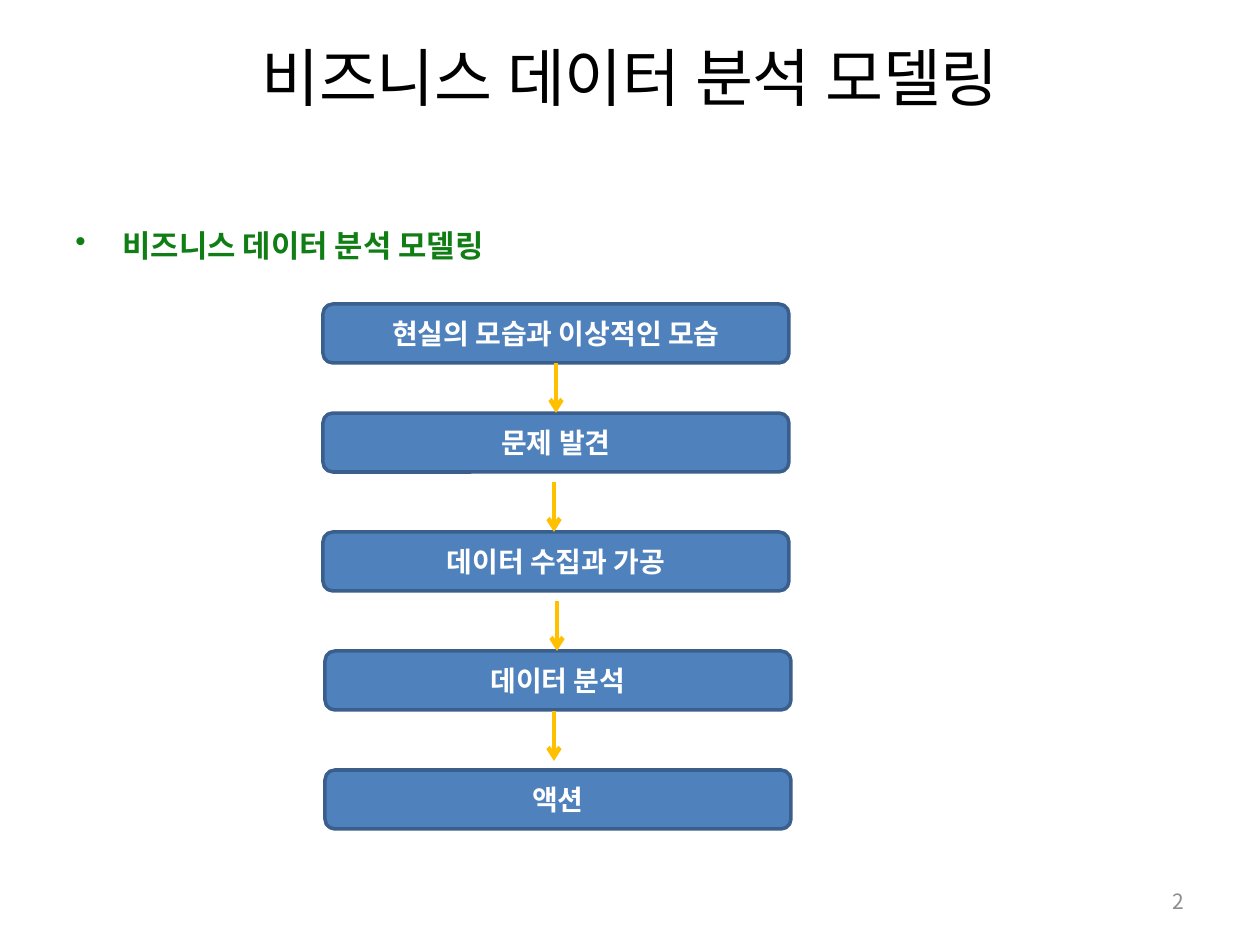
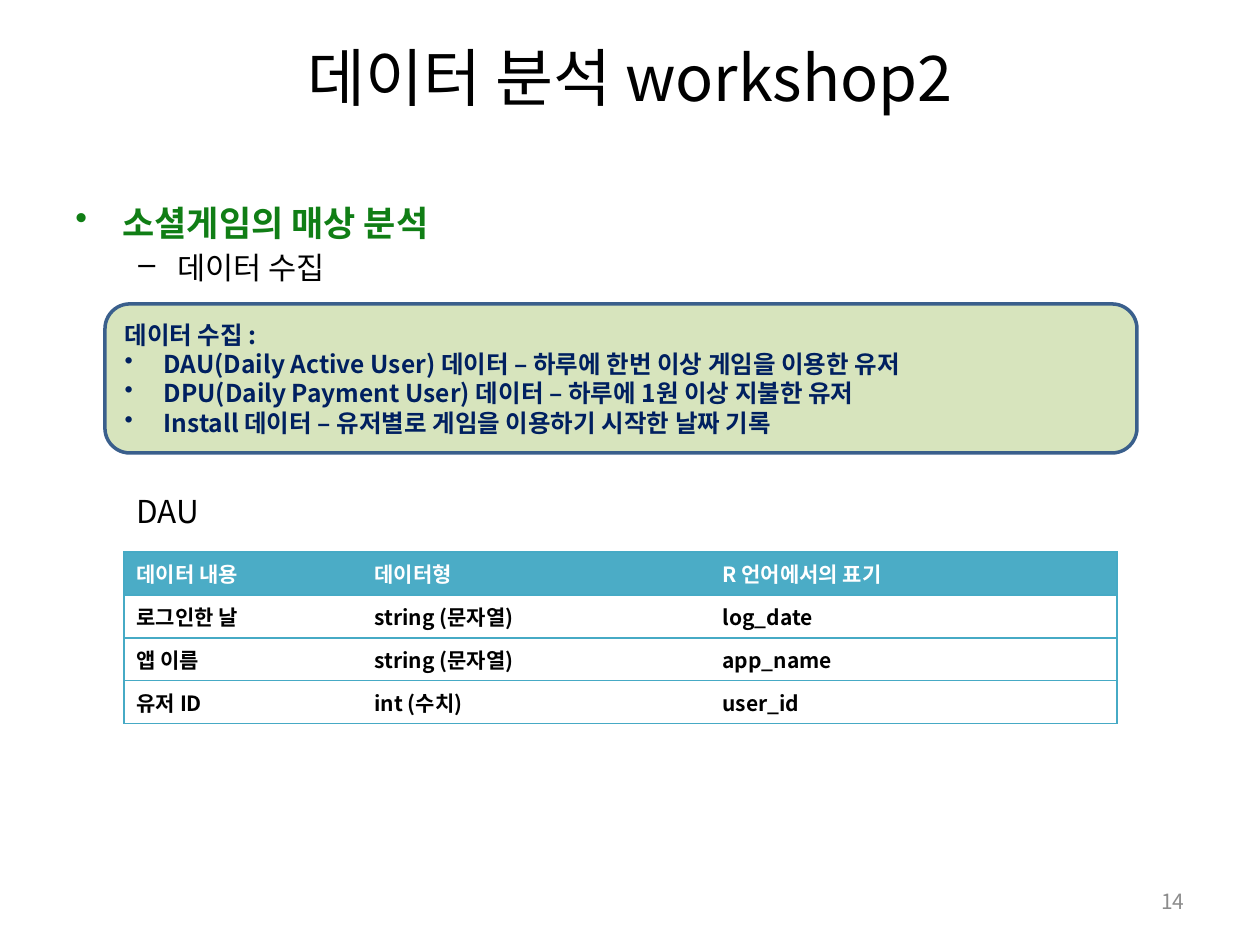
from lxml import etree
from pptx import Presentation
from pptx.dml.color import RGBColor
from pptx.enum.shapes import MSO_CONNECTOR, MSO_SHAPE
from pptx.enum.text import MSO_ANCHOR, PP_ALIGN
from pptx.oxml.ns import qn
from pptx.util import Pt

LEFT, CENTER, RIGHT = PP_ALIGN.LEFT, PP_ALIGN.CENTER, PP_ALIGN.RIGHT
TOP, MIDDLE = MSO_ANCHOR.TOP, MSO_ANCHOR.MIDDLE
ROUNDED, STRAIGHT = MSO_SHAPE.ROUNDED_RECTANGLE, MSO_CONNECTOR.STRAIGHT

FONT = "Noto Sans CJK KR"
BLACK, WHITE, GRAY = "000000", "FFFFFF", "8C8C8C"
GREEN, NAVY, GOLD = "107E15", "002060", "FFC000"
BLUE, OUTLINE, PALE = "4F81BD", "3A5F8C", "D7E4BD"
TEAL, RULE = "4BACC6", "46AAC5"

FLOW_TITLE = "비즈니스 데이터 분석 모델링"
FLOW_HEADING = "비즈니스 데이터 분석 모델링"
STEPS = [
    (323, 304, "현실의 모습과 이상적인 모습"),
    (323, 413, "문제 발견"),
    (323, 532, "데이터 수집과 가공"),
    (325, 651, "데이터 분석"),
    (325, 770, "액션"),
]
STEP_W, STEP_H = 466, 59
ARROWS = [(556, 363), (554, 482), (557, 601), (554, 711)]
ARROW_LENGTH = 50

DATA_TITLE = "데이터 분석 workshop2"
DATA_HEADING = "소셜게임의 매상 분석"
DATA_SUBHEADING = "데이터 수집"
SOURCES_LABEL = "데이터 수집 :"
SOURCES = [
    "DAU(Daily Active User) 데이터 – 하루에 한번 이상 게임을 이용한 유저",
    "DPU(Daily Payment User) 데이터 – 하루에 1원 이상 지불한 유저",
    "Install 데이터 – 유저별로 게임을 이용하기 시작한 날짜 기록",
]
TABLE_NAME = "DAU"
ROWS = [
    ("데이터 내용", "데이터형", "R 언어에서의 표기"),
    ("로그인한 날", "string (문자열)", "log_date"),
    ("앱 이름", "string (문자열)", "app_name"),
    ("유저 ID", "int (수치)", "user_id"),
]
COL_WIDTHS = [238, 348, 407]
ROW_H = 43


def px(n):
    return round(n * 914400 / 126)


def rgb(color):
    return RGBColor.from_string(color)


def write(p, text, size, color, bold=False, align=LEFT):
    p.text = text
    p.alignment = align
    p.font.size = Pt(size)
    p.font.bold = bold
    p.font.name = FONT
    p.font.color.rgb = rgb(color)
    props = p._p.pPr.find(qn("a:defRPr"))
    props.find(qn("a:latin")).addnext(
        etree.Element(qn("a:ea"), typeface=FONT))
    return p


def add_bullet(p, char, margin, hang):
    props = p._p.pPr
    props.set("marL", str(px(margin)))
    props.set("indent", str(px(-hang)))
    props.find(qn("a:defRPr")).addprevious(
        etree.Element(qn("a:buChar"), char=char))


def add_text(s, box, anchor=TOP, wrap=True):
    tf = s.shapes.add_textbox(*map(px, box)).text_frame
    tf.word_wrap = wrap
    tf.vertical_anchor = anchor
    return tf


def add_heading(s, box, text, size):
    tf = add_text(s, box)
    p = write(tf.paragraphs[0], text, size, GREEN, True)
    p.space_before = Pt(size * 0.2)
    add_bullet(p, "•", 47, 47)
    return tf


def add_panel(s, box, fill):
    sp = s.shapes.add_shape(ROUNDED, *map(px, box))
    sp.shadow.inherit = False
    sp.fill.solid()
    sp.fill.fore_color.rgb = rgb(fill)
    sp.line.color.rgb = rgb(OUTLINE)
    sp.line.width = Pt(2)
    sp.text_frame.word_wrap = True
    sp.text_frame.vertical_anchor = MIDDLE
    return sp.text_frame


def add_arrow(s, x, y):
    c = s.shapes.add_connector(
        STRAIGHT, px(x), px(y), px(x), px(y + ARROW_LENGTH))
    c.line.color.rgb = rgb(GOLD)
    c.line.width = Pt(2.5)
    etree.SubElement(c.line._get_or_add_ln(), qn("a:tailEnd"), type="arrow")
    etree.SubElement(c._element.spPr, qn("a:effectLst"))


def set_borders(cell, sides):
    props = cell._tc.get_or_add_tcPr()
    for side in "LRTB":
        ln = etree.SubElement(props, qn("a:ln" + side), w=str(Pt(0.75)))
        if side in sides:
            fill = etree.SubElement(ln, qn("a:solidFill"))
            etree.SubElement(fill, qn("a:srgbClr"), val=RULE)
        else:
            etree.SubElement(ln, qn("a:noFill"))


def add_grid(s, x, y):
    frame = s.shapes.add_table(
        len(ROWS), len(COL_WIDTHS), px(x), px(y),
        px(sum(COL_WIDTHS)), px(ROW_H * len(ROWS)))
    table = frame.table
    table.first_row = table.horz_banding = False
    for col, width in zip(table.columns, COL_WIDTHS):
        col.width = px(width)
    last = len(COL_WIDTHS) - 1
    for i, row in enumerate(ROWS):
        table.rows[i].height = px(ROW_H)
        for j, text in enumerate(row):
            cell = table.cell(i, j)
            set_borders(cell, "TB" + "L" * (j == 0) + "R" * (j == last))
            if i == 0:
                cell.fill.solid()
                cell.fill.fore_color.rgb = rgb(TEAL)
            else:
                cell.fill.background()
            write(cell.text_frame.paragraphs[0], text, 12,
                  BLACK if i else WHITE, True)


def add_slide(prs, title, number):
    s = prs.slides.add_slide(prs.slide_layouts[5])
    sp = s.shapes.title
    sp.left, sp.top, sp.width, sp.height = map(px, (63, 38, 1134, 77))
    sp.text_frame.vertical_anchor = MIDDLE
    write(sp.text_frame.paragraphs[0], title, 36, BLACK, align=CENTER)
    tf = add_text(s, (903, 876, 294, 50), MIDDLE)
    write(tf.paragraphs[0], number, 12, GRAY, align=RIGHT)
    return s


prs = Presentation()
prs.slide_width, prs.slide_height = px(1260), px(945)

s = add_slide(prs, FLOW_TITLE, "2")
add_heading(s, (63, 220, 1134, 44), FLOW_HEADING, 17.6)
for x, y, text in STEPS:
    tf = add_panel(s, (x, y, STEP_W, STEP_H), BLUE)
    write(tf.paragraphs[0], text, 16, WHITE, True, CENTER)
for x, y in ARROWS:
    add_arrow(s, x, y)

s = add_slide(prs, DATA_TITLE, "14")
tf = add_heading(s, (63, 195, 1074, 89), DATA_HEADING, 20)
p = write(tf.add_paragraph(), DATA_SUBHEADING, 17.5, BLACK)
p.level = 1
p.space_before = Pt(3.5)
add_bullet(p, "–", 102, 39)

tf = add_panel(s, (105, 304, 1032, 149), PALE)
write(tf.paragraphs[0], SOURCES_LABEL, 14, NAVY, True)
for text in SOURCES:
    add_bullet(write(tf.add_paragraph(), text, 14, NAVY, True), "•", 39, 39)

add_grid(s, 124, 552)
tf = add_text(s, (124, 486, 100, 50), wrap=False)
write(tf.paragraphs[0], TABLE_NAME, 18, BLACK)

prs.save("out.pptx")
